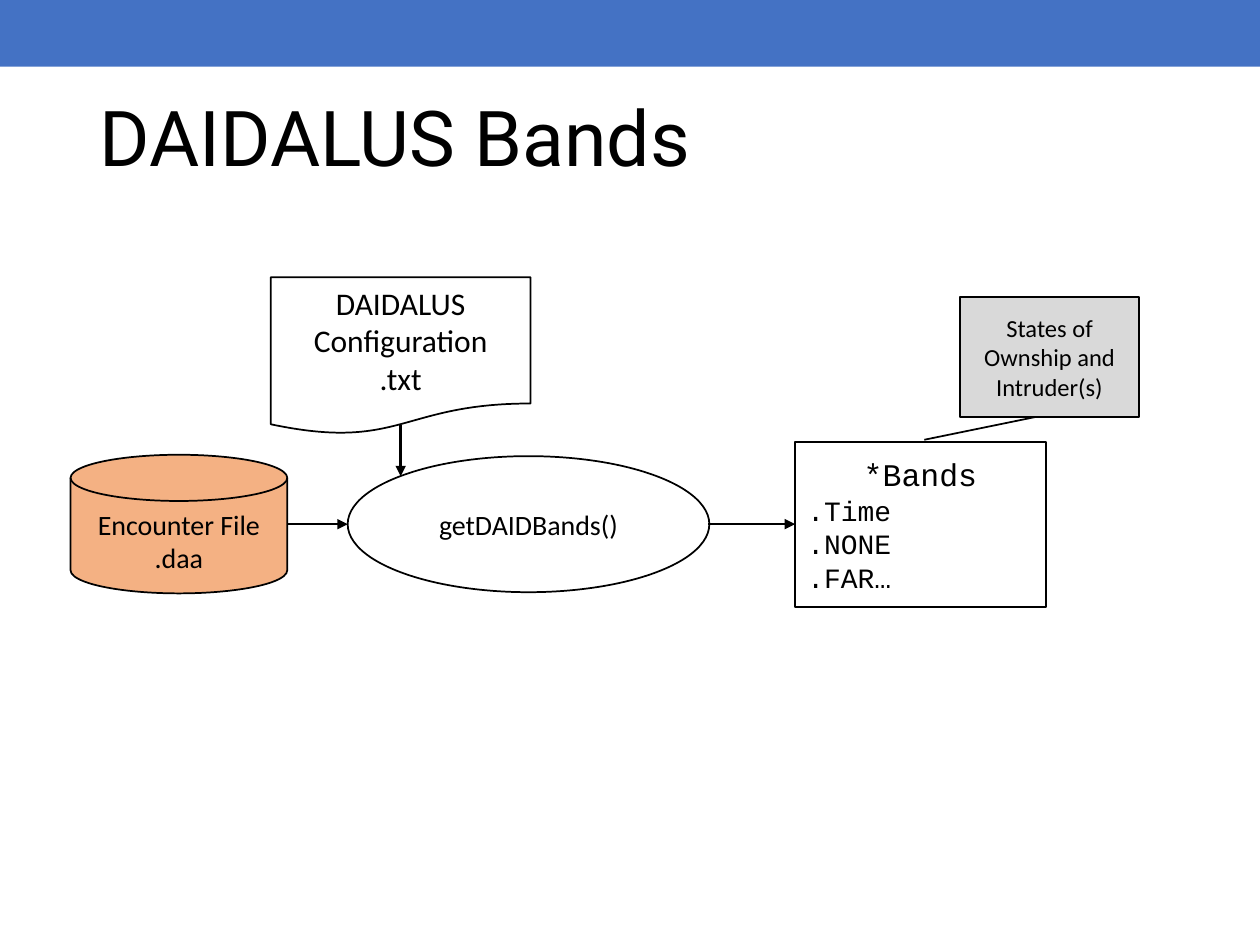
from dataclasses import dataclass
from typing import NamedTuple

from lxml.etree import SubElement
from pptx import Presentation
from pptx.dml.color import RGBColor as RGB
from pptx.enum.shapes import MSO_CONNECTOR as Conn, MSO_SHAPE as Kind
from pptx.enum.text import MSO_ANCHOR as Anchor, PP_ALIGN as Align
from pptx.oxml.ns import qn
from pptx.util import Inches, Pt


@dataclass(frozen=True)
class Theme:
    ink: RGB = RGB(0, 0, 0)
    paper: RGB = RGB(255, 255, 255)
    bar: RGB = RGB(0x44, 0x72, 0xC4)
    file: RGB = RGB(0xF4, 0xB1, 0x83)
    note: RGB = RGB(0xD9, 0xD9, 0xD9)
    head: str = "Roboto"
    body: str = "Calibri"
    code: str = "Courier New"
    title: int = 44
    large: int = 18
    mid: int = 16
    small: int = 14
    edge: float = 1
    arrow: float = 1.5


THEME = Theme()


class Line(NamedTuple):
    text: str
    size: int = THEME.mid
    font: str = THEME.body
    align: Align = Align.CENTER


class Node(NamedTuple):
    kind: Kind
    box: tuple[float, float, float, float]
    fill: RGB | None
    lines: tuple[Line, ...]
    anchor: Anchor = Anchor.MIDDLE
    flip: bool = False
    adjust: tuple[float, ...] = ()


class Arrow(NamedTuple):
    start: tuple[float, float]
    end: tuple[float, float]


def code(text: str) -> Line:
    return Line(text, font=THEME.code, align=Align.LEFT)


NODES = (
    Node(Kind.RECTANGLE, (6.31, 3.51, 1.99, 1.31), THEME.paper,
         (Line("*Bands", THEME.large, THEME.code),
          code(".Time"), code(".NONE"), code(".FAR…"))),
    Node(Kind.LINE_CALLOUT_1, (7.62, 2.36, 1.42, 0.95), THEME.note,
         (Line("States of Ownship and Intruder(s)", THEME.small),),
         flip=True, adjust=(1, 0.58, 1.19, 1.2)),
    Node(Kind.FLOWCHART_MAGNETIC_DISK, (0.56, 3.61, 1.72, 1.1), THEME.file,
         (Line("Encounter File"), Line(".daa")), Anchor.TOP),
    Node(Kind.OVAL, (2.76, 3.62, 2.87, 1.08), THEME.paper,
         (Line("getDAIDBands()"),)),
    Node(Kind.FLOWCHART_DOCUMENT, (2.15, 2.2, 2.06, 1.25), None,
         (Line("DAIDALUS Configuration", THEME.large),
          Line(".txt", THEME.large))),
)
FLOW = 4.16
ARROWS = (
    Arrow((5.62, FLOW), (6.31, FLOW)),
    Arrow((2.28, FLOW), (2.76, FLOW)),
    Arrow((3.18, 3.37), (3.18, 3.78)),
)


def place(shape, box: tuple[float, ...]) -> None:
    shape.left, shape.top, shape.width, shape.height = map(Inches, box)


def write(para, line: Line) -> None:
    para.alignment = line.align
    run = para.add_run()
    run.text = line.text
    run.font.name = line.font
    run.font.size = Pt(line.size)
    run.font.color.rgb = THEME.ink


def draw_bar(slide) -> None:
    bar = slide.shapes.add_shape(Kind.RECTANGLE, 0, 0, Inches(10), Inches(0.53))
    bar.shadow.inherit = False
    bar.fill.solid()
    bar.fill.fore_color.rgb = THEME.bar
    bar.line.fill.background()


def draw_title(slide, text: str) -> None:
    title = slide.shapes.title
    place(title, (0.69, 0.4, 8.62, 1.45))
    frame = title.text_frame
    frame.vertical_anchor = Anchor.MIDDLE
    para = frame.paragraphs[0]
    para.line_spacing = 0.9
    write(para, Line(text, THEME.title, THEME.head, Align.LEFT))


def draw_node(slide, node: Node) -> None:
    shape = slide.shapes.add_shape(node.kind, *map(Inches, node.box))
    shape.shadow.inherit = False
    if node.fill is None:
        shape.fill.background()
    else:
        shape.fill.solid()
        shape.fill.fore_color.rgb = node.fill
    shape.line.color.rgb = THEME.ink
    shape.line.width = Pt(THEME.edge)
    for i, value in enumerate(node.adjust):
        shape.adjustments[i] = value
    if node.flip:
        shape.element.spPr.find(qn("a:xfrm")).set("flipH", "1")
    frame = shape.text_frame
    frame.word_wrap = True
    frame.vertical_anchor = node.anchor
    for i, line in enumerate(node.lines):
        write(frame.add_paragraph() if i else frame.paragraphs[0], line)


def draw_arrow(slide, arrow: Arrow) -> None:
    link = slide.shapes.add_connector(
        Conn.STRAIGHT, *map(Inches, arrow.start + arrow.end))
    link.line.color.rgb = THEME.ink
    link.line.width = Pt(THEME.arrow)
    SubElement(link.line._get_or_add_ln(), qn("a:tailEnd"), type="triangle")
    SubElement(link.element.spPr, qn("a:effectLst"))


def main() -> None:
    deck = Presentation()
    deck.slide_width, deck.slide_height = Inches(10), Inches(7.5)
    slide = deck.slides.add_slide(deck.slide_layouts[5])
    draw_bar(slide)
    draw_title(slide, "DAIDALUS Bands")
    for node in NODES:
        draw_node(slide, node)
    for arrow in ARROWS:
        draw_arrow(slide, arrow)
    deck.save("out.pptx")


if __name__ == "__main__":
    main()
